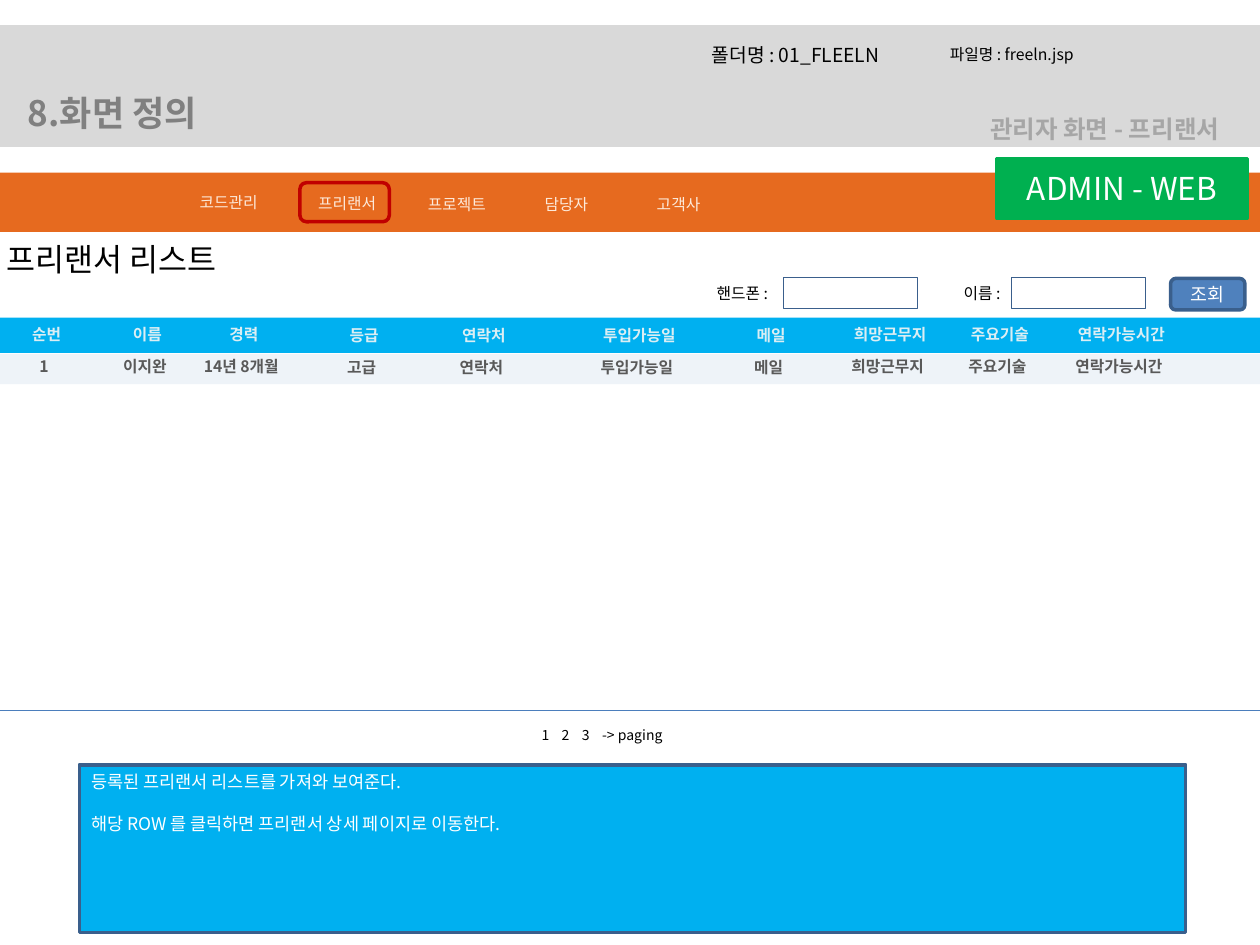
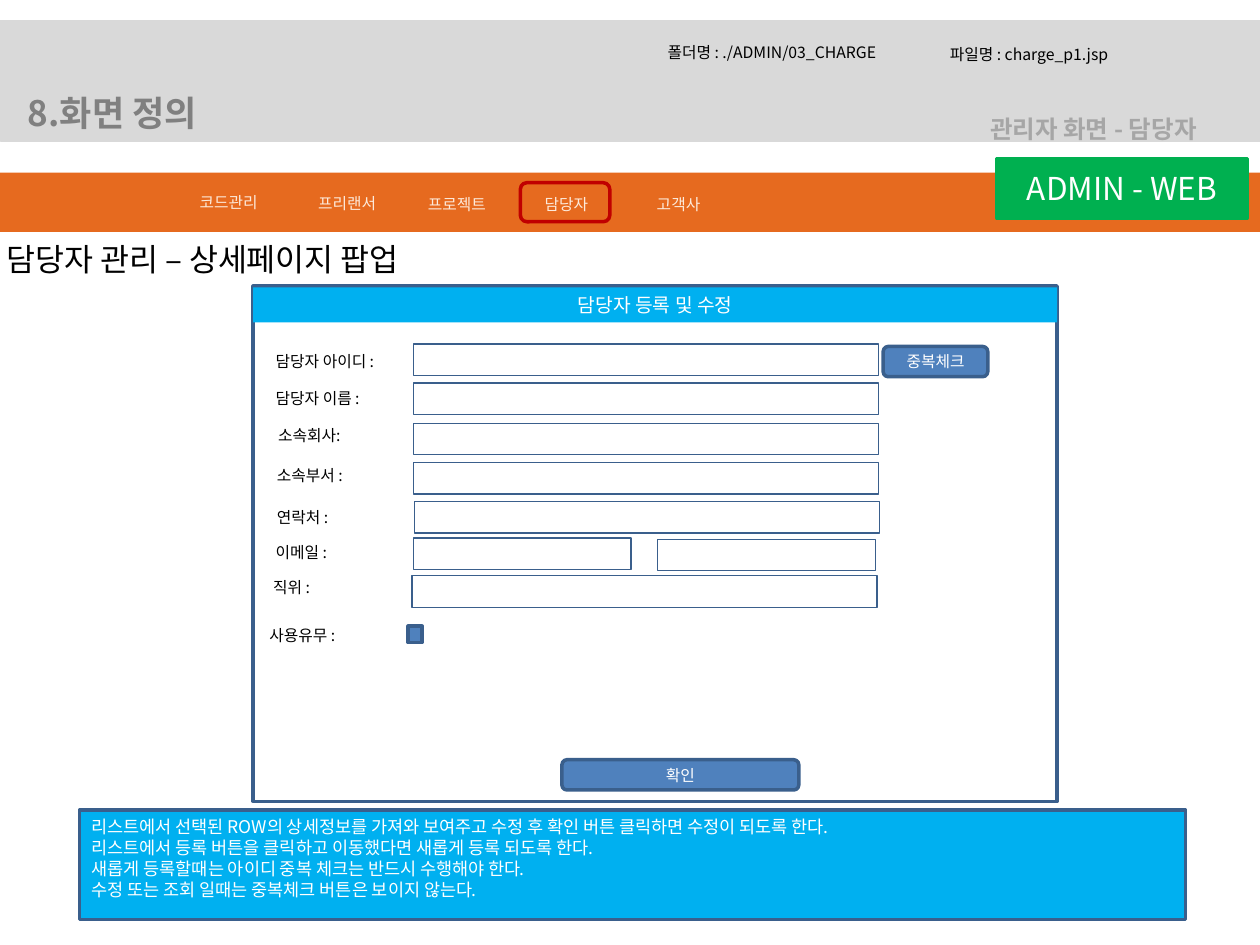
from lxml.etree import SubElement
from pptx import Presentation
from pptx.dml.color import RGBColor
from pptx.enum.shapes import MSO_CONNECTOR, MSO_SHAPE
from pptx.enum.text import MSO_ANCHOR, MSO_AUTO_SIZE, PP_ALIGN
from pptx.oxml.ns import qn
from pptx.util import Pt

UNIT = 9144
FACE = "Noto Sans CJK KR"
RECT, ROUND = MSO_SHAPE.RECTANGLE, MSO_SHAPE.ROUNDED_RECTANGLE
LEFT, MID = PP_ALIGN.LEFT, PP_ALIGN.CENTER
TOP, HALF = MSO_ANCHOR.TOP, MSO_ANCHOR.MIDDLE
BLACK, WHITE, GRAY, SKY = "000000", "FFFFFF", "D9D9D9", "00B0F0"
NAVY, BLUE, GREEN, RED = "3A5F8C", "4F81BD", "00B050", "C00000"


def ink(fill, tone):
    if tone:
        fill.solid()
        fill.fore_color.rgb = RGBColor.from_string(tone)
    else:
        fill.background()


def put(page, kind, box, text="", size=9, tone=BLACK, bold=False, align=LEFT,
        anchor=TOP, fill=None, line=None, width=2, gap=0):
    spot = [n * UNIT for n in box]
    if kind == "title":
        item = page.title
        for name, val in zip(("left", "top", "width", "height"), spot):
            setattr(item, name, val)
    elif kind == "text":
        item = page.add_textbox(*spot)
    else:
        item = page.add_shape(kind, *spot)
        item.shadow.inherit = False
        ink(item.fill, fill)
        ink(item.line.fill, line)
        if line:
            item.line.width = Pt(width)
    if not text:
        return item
    frame = item.text_frame
    fit = MSO_AUTO_SIZE.SHAPE_TO_FIT_TEXT if kind == "text" else MSO_AUTO_SIZE.NONE
    look = {"word_wrap": True, "auto_size": fit, "vertical_anchor": anchor}
    for name, val in look.items():
        setattr(frame, name, val)
    frame.text = text
    flow = {"alignment": align, "line_spacing": Pt(size * 1.2),
            "space_before": Pt(0), "space_after": Pt(gap)}
    style = {"size": Pt(size), "bold": bold, "name": FACE}
    for para in frame.paragraphs:
        for name, val in flow.items():
            setattr(para, name, val)
        for run in para.runs:
            for name, val in style.items():
                setattr(run.font, name, val)
            ink(run.font.fill, tone)
            SubElement(run._r.get_or_add_rPr(), qn("a:ea"), typeface=FACE)
    return item


deck = Presentation()
deck.slide_width, deck.slide_height = 1000 * UNIT, 750 * UNIT

menu = [("코드관리", 138, 148), ("프리랜서", 232, 149), ("프로젝트", 319, 150),
        ("담당자", 406, 150), ("고객사", 495, 150)]
button = {"tone": WHITE, "align": MID, "anchor": HALF, "fill": BLUE, "line": NAVY}
field = {"line": NAVY, "width": 0.75}
note = {"size": 10, "tone": WHITE, "fill": SKY, "line": NAVY}

screens = [
    {"band": (0, 21), "ring": 238, "part": "프리랜서", "head": "프리랜서 리스트",
     "dir": "01_FLEELN", "spot": (555, 29, 177, 29), "size": 11, "file": "freeln.jsp"},
    {"band": (1, 17), "ring": 413, "part": "담당자", "head": "담당자 관리 – 상세페이지 팝업",
     "dir": "./ADMIN/03_CHARGE", "spot": (520, 29, 212, 25), "size": 9,
     "file": "charge_p1.jsp"},
]
pages = []
for scr in screens:
    page = deck.slides.add_slide(deck.slide_layouts[5]).shapes
    pages.append(page)
    put(page, RECT, (*scr["band"], 1000, 94), fill=GRAY, line=GRAY)
    page.element.append(page.title.element)
    put(page, "title", (12, 68, 378, 44), "8.화면 정의", 20, "808080", True)
    put(page, RECT, (-1, 137, 1004, 47), fill="E66A1F")
    for name, x, y in menu:
        put(page, "text", (x, y, 87, 25), name, tone="FDEADA", align=MID)
    put(page, ROUND, (scr["ring"], 145, 71, 31), line=RED)
    put(page, "text", (776, 86, 264, 34), f"관리자 화면 - {scr['part']}", 14, "A6A6A6", True)
    put(page, RECT, (791, 126, 199, 47), "ADMIN - WEB", 18, WHITE,
        align=MID, anchor=HALF, fill=GREEN, line=GREEN)
    put(page, "text", (-5, 186, 489, 40), scr["head"], 18)
    put(page, "text", scr["spot"], f"폴더명 : {scr['dir']}", scr["size"])
    put(page, "text", (744, 31, 238, 25), f"파일명 : {scr['file']}")

grid, form = pages

for name, x, edge in [("핸드폰 :", 559, 622), ("이름 :", 755, 803)]:
    put(grid, "text", (x, 220, 94, 25), name)
    put(grid, RECT, (edge, 220, 106, 25), **field)
put(grid, ROUND, (929, 221, 59, 25), "조회", 10.5, **button)

put(grid, RECT, (0, 252, 1000, 28), fill=SKY)
put(grid, RECT, (-1, 281, 1001, 24), fill="EEF3F8")
cols = [("순번", "1", -1, 253, 76), ("이름", "이지완", 79, 253, 76),
        ("경력", "14년 8개월", 152, 253, 83), ("등급", "고급", 251, 254, 76),
        ("연락처", "연락처", 346, 254, 76), ("투입가능일", "투입가능일", 456, 254, 103),
        ("메일", "메일", 574, 254, 76), ("희망근무지", "희망근무지", 661, 253, 91),
        ("주요기술", "주요기술", 748, 253, 91), ("연락가능시간", "연락가능시간", 831, 253, 118)]
for head, cell, x, y, wide in cols:
    put(grid, "text", (x, y, wide, 25), head, tone="DBEEF4", bold=True, align=MID)
    put(grid, "text", (x - 2, y + 25, wide, 25), cell, tone="595959", bold=True, align=MID)

rule = grid.add_connector(MSO_CONNECTOR.STRAIGHT, 0, 564 * UNIT, 1000 * UNIT, 564 * UNIT)
ink(rule.line.fill, "4B7EBC")
rule.line.width = Pt(0.75)
SubElement(rule.element.spPr, qn("a:effectLst"))

pager = put(grid, "text", (420, 572, 172, 24), "1\t2\t3\t-> paging", 8)
tabs = SubElement(pager.text_frame.paragraphs[0]._p.get_or_add_pPr(), qn("a:tabLst"))
for step in range(1, 4):
    SubElement(tabs, qn("a:tab"), pos=str(step * 16 * UNIT), algn="l")

put(grid, RECT, (63, 607, 878, 133),
    "등록된 프리랜서 리스트를 가져와 보여준다.\n"
    "해당 ROW 를 클릭하면 프리랜서 상세 페이지로 이동한다.", gap=12, **note)

put(form, RECT, (201, 227, 638, 409), line=NAVY)
put(form, RECT, (201, 228, 638, 28), "담당자 등록 및 수정", 11, WHITE,
    align=MID, anchor=HALF, fill=SKY)
rows = [("담당자 아이디 :", 209, 274, [(328, 273, 369)]),
        ("담당자 이름 :", 209, 304, [(328, 304, 369)]),
        ("소속회사:", 211, 333, [(328, 336, 369)]),
        ("소속부서 :", 210, 365, [(328, 367, 369)]),
        ("연락처 :", 210, 398, [(329, 398, 369)]),
        ("이메일 :", 209, 426, [(328, 427, 173), (522, 428, 173)]),
        ("직위 :", 207, 454, [(327, 457, 369)]),
        ("사용유무 :", 204, 492, [])]
for name, x, y, slots in rows:
    put(form, "text", (x, y, 207, 25), name)
    for left, top, wide in slots:
        put(form, RECT, (left, top, wide, 25), **field)
put(form, RECT, (324, 497, 11, 13), fill=BLUE, line=NAVY)
put(form, ROUND, (701, 275, 83, 24), "중복체크", **button)
put(form, ROUND, (446, 603, 188, 24), "확인", **button)
put(form, RECT, (63, 643, 878, 87),
    "리스트에서 선택된 ROW의 상세정보를 가져와 보여주고 수정 후 확인 버튼 클릭하면 수정이 되도록 한다.\n"
    "리스트에서 등록 버튼을 클릭하고 이동했다면 새롭게 등록 되도록 한다.\n"
    "새롭게 등록할때는 아이디 중복 체크는 반드시 수행해야 한다.\n"
    "수정 또는 조회 일때는 중복체크 버튼은 보이지 않는다.", **note)

deck.save("out.pptx")
